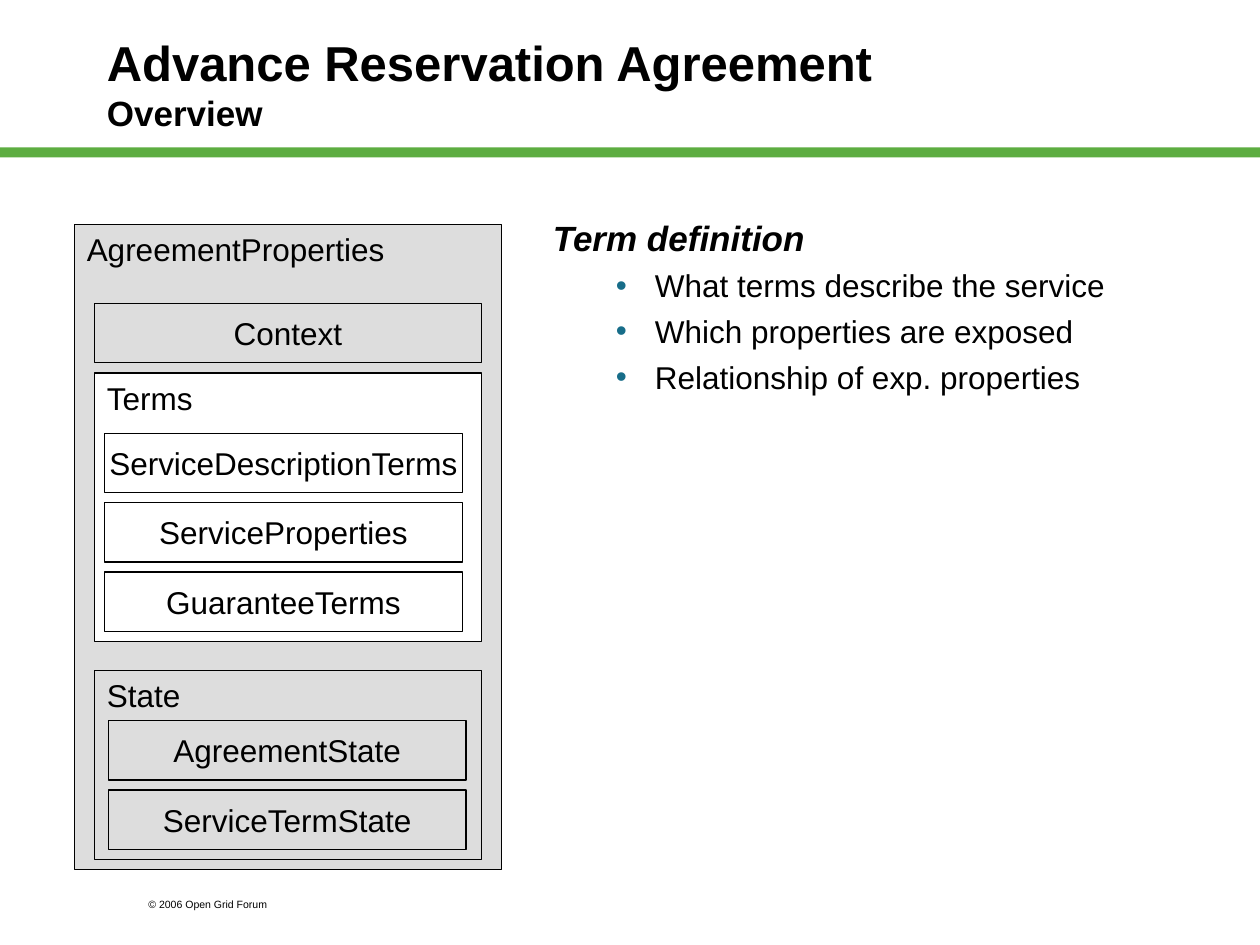
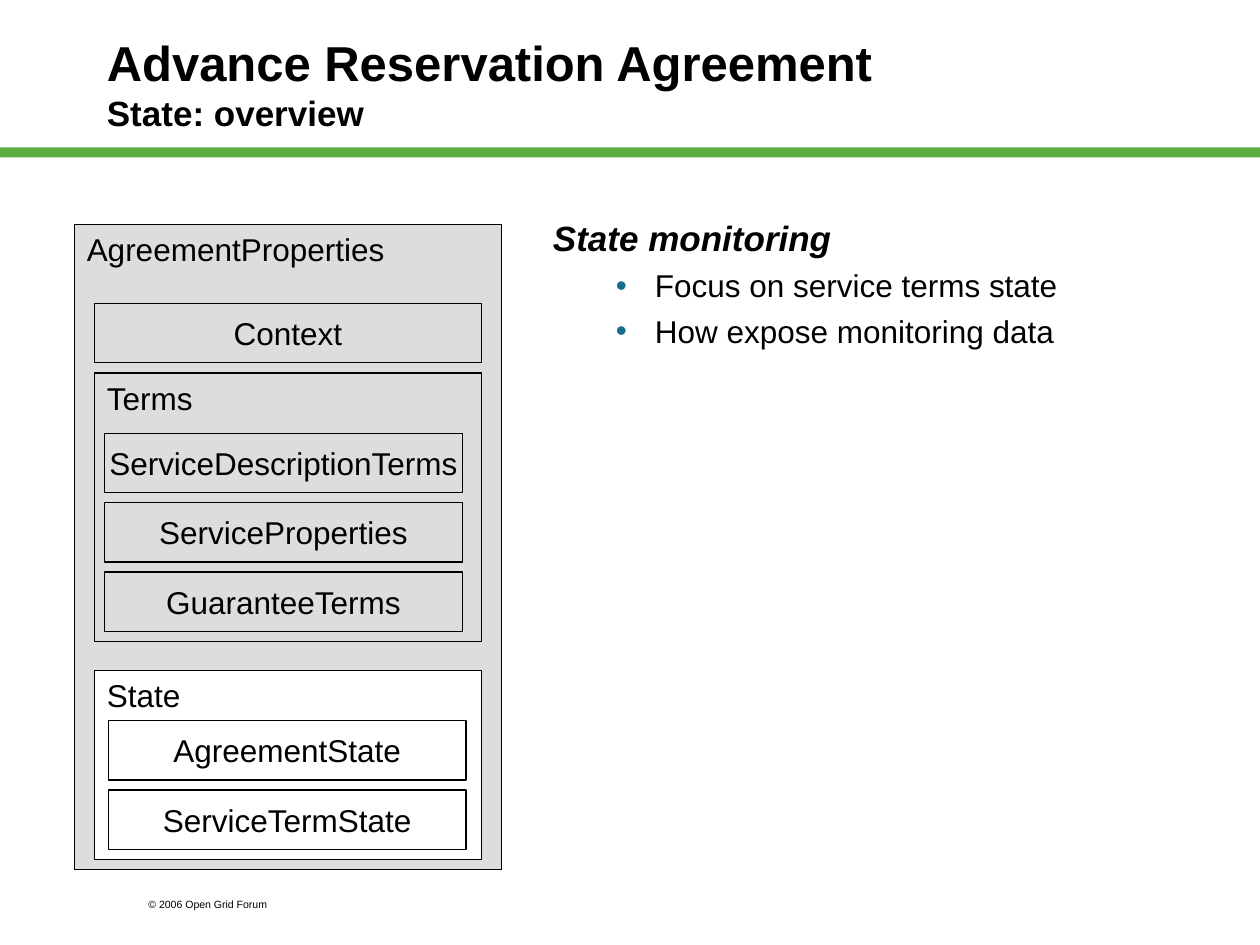
from dataclasses import dataclass
from typing import Any

from lxml import etree
from pptx import Presentation
from pptx.dml.color import RGBColor
from pptx.enum.shapes import MSO_SHAPE
from pptx.enum.text import MSO_ANCHOR, MSO_AUTO_SIZE, PP_ALIGN
from pptx.oxml.ns import qn
from pptx.util import Pt

RECTANGLE = MSO_SHAPE.RECTANGLE
TOP, MIDDLE = MSO_ANCHOR.TOP, MSO_ANCHOR.MIDDLE
LEFT, CENTER = PP_ALIGN.LEFT, PP_ALIGN.CENTER
FIT_SHAPE = MSO_AUTO_SIZE.SHAPE_TO_FIT_TEXT

PX = 9144  # EMU per px, 100 px to the inch


@dataclass(frozen=True)
class Theme:
    font: str = "Arial"
    ink: str = "000000"
    rule: str = "5DAD41"
    bullet: str = "176D89"
    muted: str = "DDDDDD"
    highlight: str = "FFFFFF"
    title_size: int = 28
    heading_size: int = 20
    text_size: int = 18
    footer_size: int = 6
    outline: float = 0.75
    bullet_gap: float = 4.5


@dataclass(frozen=True)
class Area:
    left: int
    top: int
    width: int
    height: int

    def emu(self) -> tuple[int, int, int, int]:
        return self.left * PX, self.top * PX, self.width * PX, self.height * PX


@dataclass(frozen=True)
class Section:
    """A box of the agreement; its items are stacked inside it from items_at."""
    name: str
    area: Area
    items: tuple[str, ...] = ()
    items_at: tuple[int, int] = (0, 0)


@dataclass(frozen=True)
class Page:
    subtitle: str
    highlighted: str
    heading: str
    bullets: tuple[str, ...]


THEME = Theme()
TITLE = "Advance Reservation Agreement"
FOOTER = "© 2006 Open Grid Forum"
PAGE_SIZE = (1000, 750)
RULE_AREA = Area(0, 117, 1000, 8)
TITLE_AREA = Area(75, 17, 850, 98)
FOOTER_AREA = Area(108, 708, 150, 20)
NOTES_AREA = Area(429, 167, 543, 450)
AGREEMENT_AREA = Area(59, 178, 339, 512)
ITEM_WIDTH, ITEM_HEIGHT, ITEM_GAP = 284, 47, 8
BULLET_INDENT, BULLET_HANG = 81, 31

SECTIONS = (
    Section("Context", Area(75, 241, 307, ITEM_HEIGHT)),
    Section("Terms", Area(75, 296, 307, 213),
            ("ServiceDescriptionTerms", "ServiceProperties", "GuaranteeTerms"), (83, 344)),
    Section("State", Area(75, 532, 307, 150),
            ("AgreementState", "ServiceTermState"), (86, 572)),
)

PAGES = (
    Page("Overview", "Terms", "Term definition",
         ("What terms describe the service", "Which properties are exposed",
          "Relationship of exp. properties")),
    Page("State: overview", "State", "State monitoring",
         ("Focus on service terms state", "How expose monitoring data")),
)


def add_span(para: Any, text: str, size: int, **formats: Any) -> None:
    span = para.add_run()
    span.text = text
    values = {"name": THEME.font, "size": Pt(size), **formats}
    for name, value in values.items():
        setattr(span.font, name, value)
    span.font.color.rgb = RGBColor.from_string(THEME.ink)


def add_text_frame(slide: Any, area: Area, **formats: Any) -> Any:
    frame = slide.shapes.add_textbox(*area.emu()).text_frame
    for name, value in {"word_wrap": True, **formats}.items():
        setattr(frame, name, value)
    return frame


def add_rectangle(slide: Any, area: Area, fill: str) -> Any:
    box = slide.shapes.add_shape(RECTANGLE, *area.emu())
    box.shadow.inherit = False
    box.fill.solid()
    box.fill.fore_color.rgb = RGBColor.from_string(fill)
    box.line.fill.background()
    return box


def add_labelled_box(slide: Any, area: Area, label: str, fill: str, centred: bool) -> None:
    box = add_rectangle(slide, area, fill)
    box.line.color.rgb = RGBColor.from_string(THEME.ink)
    box.line.width = Pt(THEME.outline)
    frame = box.text_frame
    frame.word_wrap = False
    frame.vertical_anchor = MIDDLE if centred else TOP
    para = frame.paragraphs[0]
    para.alignment = CENTER if centred else LEFT
    add_span(para, label, THEME.text_size)


def set_bullet(para: Any) -> None:
    properties = para._p.get_or_add_pPr()
    properties.set("marL", str(BULLET_INDENT * PX))
    properties.set("indent", str(-BULLET_HANG * PX))
    colour = etree.SubElement(properties, qn("a:buClr"))
    etree.SubElement(colour, qn("a:srgbClr"), val=THEME.bullet)
    etree.SubElement(properties, qn("a:buFont"), typeface=THEME.font)
    etree.SubElement(properties, qn("a:buChar"), char="•")


def add_frame_elements(slide: Any, subtitle: str) -> None:
    """Draw the rule, footer and two-line title that every page carries."""
    add_rectangle(slide, RULE_AREA, THEME.rule)
    footer = add_text_frame(slide, FOOTER_AREA, auto_size=FIT_SHAPE)
    add_span(footer.paragraphs[0], FOOTER, THEME.footer_size)
    para = add_text_frame(slide, TITLE_AREA, vertical_anchor=MIDDLE).paragraphs[0]
    add_span(para, TITLE, THEME.title_size, bold=True)
    para.add_line_break()
    add_span(para, subtitle, THEME.heading_size, bold=True)


def add_agreement(slide: Any, highlighted: str) -> None:
    add_labelled_box(slide, AGREEMENT_AREA, "AgreementProperties", THEME.muted, False)
    for section in SECTIONS:
        fill = THEME.highlight if section.name == highlighted else THEME.muted
        add_labelled_box(slide, section.area, section.name, fill, not section.items)
        left, top = section.items_at
        for row, item in enumerate(section.items):
            area = Area(left, top + row * (ITEM_HEIGHT + ITEM_GAP), ITEM_WIDTH, ITEM_HEIGHT)
            add_labelled_box(slide, area, item, fill, True)


def add_notes_column(slide: Any, page: Page) -> None:
    frame = add_text_frame(slide, NOTES_AREA)
    add_span(frame.paragraphs[0], page.heading, THEME.heading_size, bold=True, italic=True)
    for bullet in page.bullets:
        para = frame.add_paragraph()
        set_bullet(para)
        para.level = 1
        para.space_before = Pt(THEME.bullet_gap)
        add_span(para, bullet, THEME.text_size)


def main() -> None:
    deck = Presentation()
    deck.slide_width, deck.slide_height = (length * PX for length in PAGE_SIZE)
    blank = deck.slide_layouts[6]
    for page in PAGES:
        slide = deck.slides.add_slide(blank)
        add_frame_elements(slide, page.subtitle)
        add_agreement(slide, page.highlighted)
        add_notes_column(slide, page)
    deck.save("out.pptx")


if __name__ == "__main__":
    main()
